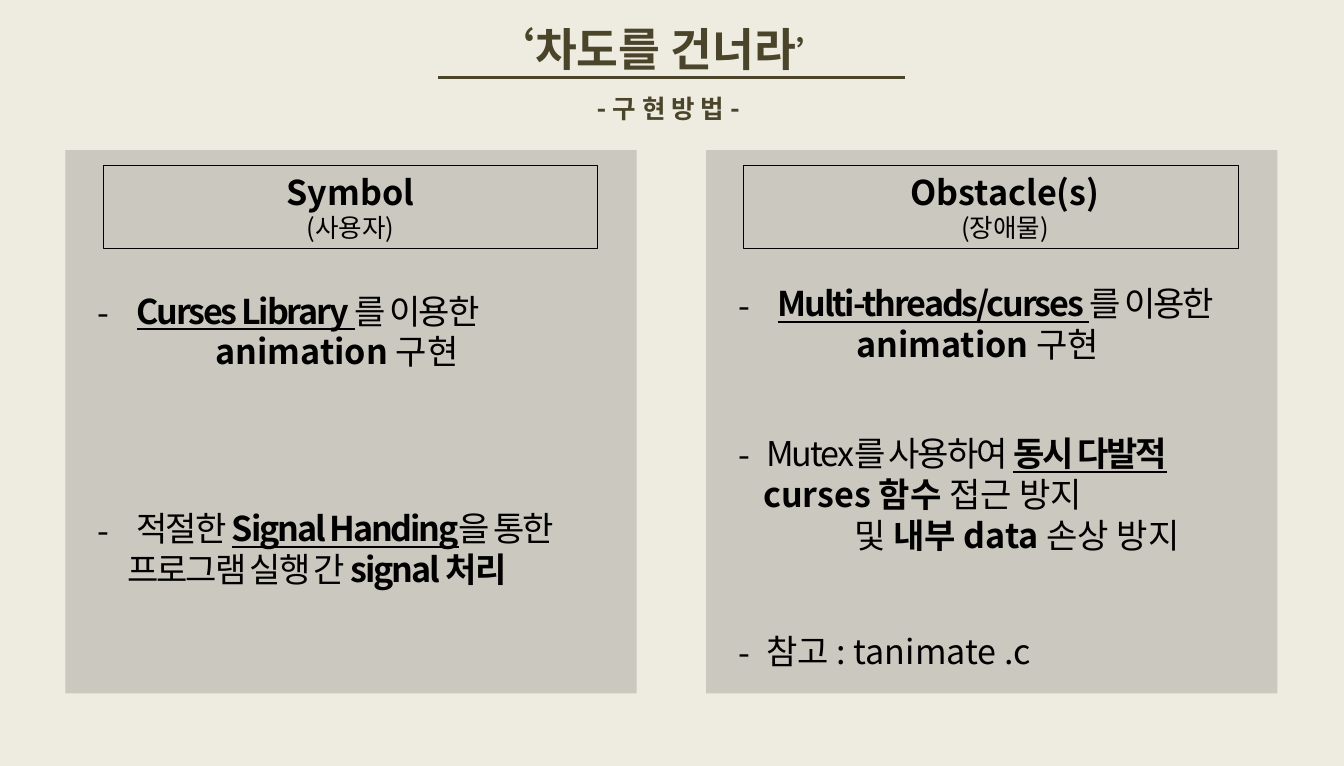
from lxml.etree import SubElement
from pptx import Presentation
from pptx.dml.color import RGBColor
from pptx.enum.shapes import MSO_CONNECTOR, MSO_SHAPE
from pptx.enum.text import MSO_ANCHOR, PP_ALIGN
from pptx.oxml.ns import qn
from pptx.util import Emu, Inches, Pt

WIDTH, HEIGHT = Emu(12025313), Inches(7.5)
SANS, ROBOTO = "Noto Sans CJK KR", "Roboto"
PAPER, OLIVE, BLACK = "EEECE1", "4A452A", "000000"
PANEL_LEFT, PANEL_TOP, PANEL_STEP = 0.64, 1.47, 6.27
PANEL_WIDTH, PANEL_HEIGHT = 5.59, 5.32
LINE_RATIO = 1.2

BOLD = {"bold": True}
KEY = {"bold": True, "underline": True, "tight": True}
TIGHT = {"tight": True}

ANIMATION = {"left": 1.15, "runs": [("animation ", BOLD), ("구현", {})]}
SYMBOL_LINES = [
    {"left": 0.38, "bullet": True,
     "runs": [("Curses Library ", KEY), ("를 이용한", TIGHT)]},
    ANIMATION,
    {"left": 0.38, "bullet": True, "before": 96,
     "runs": [("적절한 ", TIGHT), ("Signal Handing", KEY), ("을 통한", TIGHT)]},
    {"left": 0.29,
     "runs": [("프로그램 실행 간 ", TIGHT),
              ("signal 처리", {"bold": True, "tight": True})]},
]
OBSTACLE_LINES = [
    {"left": 0.38, "bullet": True,
     "runs": [("Multi-threads/curses ", KEY), ("를 이용한", TIGHT)]},
    ANIMATION,
    {"left": 0.27, "bullet": True, "before": 48,
     "runs": [("Mutex를 사용하여 ", TIGHT), ("동시 다발적", KEY)]},
    {"left": 0.24, "runs": [("curses 함수 ", BOLD), ("접근 방지", {})]},
    {"left": 1.13,
     "runs": [("및 ", {}), ("내부 data ", BOLD), ("손상 방지", {})]},
    {"left": 0.27, "bullet": True, "before": 52.8,
     "runs": [("참고 : tanimate .c", {})]},
]


def color(value):
    return RGBColor.from_string(value)


def add_run(para, text, size, name=SANS, ink=BLACK, tight=False, **formats):
    span = para.add_run()
    span.text = text
    for key, value in {"size": Pt(size), "name": name, **formats}.items():
        setattr(span.font, key, value)
    span.font.color.rgb = color(ink)
    if tight:
        span.font._element.set("spc", "-150")


def add_lines(frame, lines, size=24, align=PP_ALIGN.LEFT):
    """Fill a text frame with lines that may carry an indent, bullet or gap."""
    frame.word_wrap = True
    for index, line in enumerate(lines):
        para = frame.paragraphs[0] if index == 0 else frame.add_paragraph()
        line_size = line.get("size", size)
        formats = {"alignment": align,
                   "line_spacing": Pt(line_size * LINE_RATIO),
                   "space_before": Pt(line.get("before", 0))}
        for key, value in formats.items():
            setattr(para, key, value)
        indent = Inches(line.get("left", 0))
        properties = para._p.get_or_add_pPr()
        properties.set("marL", str(indent))
        if line.get("bullet"):
            properties.set("indent", str(-indent))
            SubElement(properties, qn("a:buFont"), typeface=SANS)
            SubElement(properties, qn("a:buChar"), char="-")
        for text, run_formats in line["runs"]:
            add_run(para, text, **{"size": line_size, **run_formats})


def add_text(page, left, top, width, height, lines, **options):
    box = page.shapes.add_textbox(*map(Inches, (left, top, width, height)))
    add_lines(box.text_frame, lines, **options)


def add_rectangle(page, left, top, width, height):
    box = page.shapes.add_shape(
        MSO_SHAPE.RECTANGLE, *map(Inches, (left, top, width, height)))
    box.shadow.inherit = False
    return box


def add_heading(page, left, top, width):
    style = {"bold": True, "ink": OLIVE, "name": ROBOTO}
    title = [{"runs": [("‘차도를 건너라", style),
                       ("’", {**style, "size": 24})]}]
    subtitle = [{"runs": [("- 구 현 방 법 -", style)]}]
    add_text(page, left - 0.08, top, width, 0.63, title,
             size=32, align=PP_ALIGN.CENTER)
    add_text(page, left, top + 0.7, width, 0.4, subtitle,
             size=18, align=PP_ALIGN.CENTER)
    rule_top = Inches(top + 0.6)
    rule = page.shapes.add_connector(
        MSO_CONNECTOR.STRAIGHT, Inches(left + 0.31), rule_top,
        Inches(left + width - 0.24), rule_top)
    rule.line.color.rgb = color(OLIVE)
    rule.line.width = Pt(2.25)
    SubElement(rule._element.spPr, qn("a:effectLst"))


def add_panel(page, left, top, name, translation, lines, body_offset,
              header_indent=0):
    """Place a shaded panel with its framed header and its list."""
    panel = add_rectangle(page, left, top, PANEL_WIDTH, PANEL_HEIGHT)
    panel.fill.solid()
    panel.fill.fore_color.rgb = color(BLACK)
    shade = panel._element.spPr.find(".//" + qn("a:srgbClr"))
    SubElement(shade, qn("a:alpha"), val="15000")
    panel.line.fill.background()

    header = add_rectangle(page, left + 0.37, top + 0.15, 4.84, 0.81)
    header.fill.background()
    header.line.color.rgb = color(BLACK)
    header.line.width = Pt(0.75)
    header.text_frame.vertical_anchor = MSO_ANCHOR.MIDDLE
    add_lines(header.text_frame, [
        {"left": header_indent, "runs": [(name, BOLD)]},
        {"left": header_indent, "size": 18, "runs": [(translation, {})]},
    ], align=PP_ALIGN.CENTER)

    add_text(page, left + 0.22, top + body_offset, 5.18, 3.9, lines)


def main():
    deck = Presentation()
    deck.slide_width, deck.slide_height = WIDTH, HEIGHT
    page = deck.slides.add_slide(deck.slide_layouts[6])
    page.background.fill.solid()
    page.background.fill.fore_color.rgb = color(PAPER)
    add_heading(page, 3.98, 0.16, 5.12)
    panels = [("Symbol", "(사용자)", SYMBOL_LINES, 1.32),
              ("Obstacle(s)", "(장애물)", OBSTACLE_LINES, 1.25, 0.27)]
    for column, content in enumerate(panels):
        add_panel(page, PANEL_LEFT + column * PANEL_STEP, PANEL_TOP, *content)
    deck.save("out.pptx")


if __name__ == "__main__":
    main()
